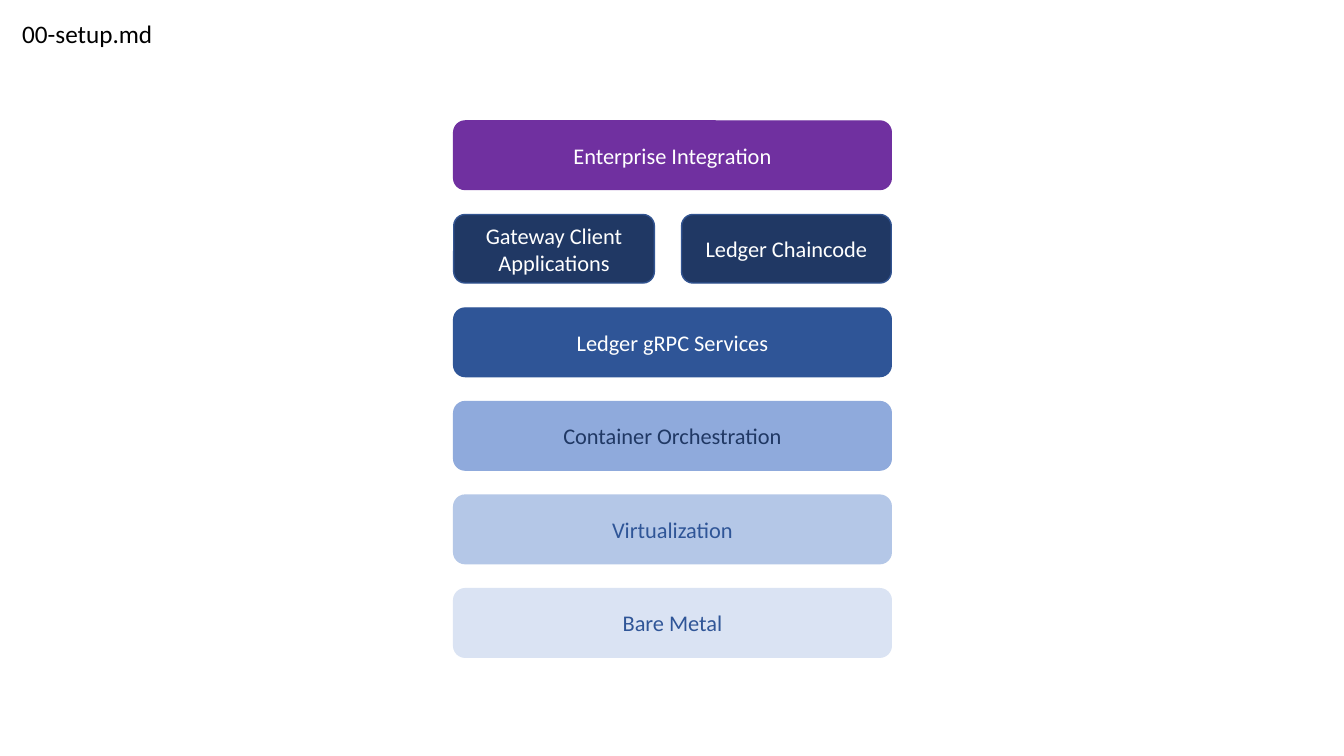
from pptx import Presentation
from pptx.dml.color import RGBColor
from pptx.enum import shapes, text
from pptx.util import Inches, Pt

COLORS = {
    "black": "000000", "white": "FFFFFF", "purple": "7030A0",
    "navy": "203864", "navy_edge": "325491", "blue": "2F5597",
    "mid": "8FAADC", "light": "B4C7E7", "pale": "DAE3F3",
}

# Layers from top to bottom: (labels, fill, line, text colour)
TITLE = "00-setup.md"
LAYERS = [
    (["Enterprise Integration"], "purple", "purple", "white"),
    (["Gateway Client Applications", "Ledger Chaincode"], "navy", "navy_edge", "white"),
    (["Ledger gRPC Services"], "blue", "blue", "white"),
    (["Container Orchestration"], "mid", "mid", "navy"),
    (["Virtualization"], "light", "light", "blue"),
    (["Bare Metal"], "pale", "pale", "blue"),
]

# Stack geometry in inches; columns are (offset, width) by number of boxes
LEFT, TOP, HEIGHT, PITCH = 4.5, 1.2, 0.68, 0.928
COLUMNS = {1: [(0, 4.34)], 2: [(0, 1.99), (2.26, 2.08)]}


def rgb(name):
    return RGBColor.from_string(COLORS[name])


def write(sp, words, size, color, align, **frame):
    tf = sp.text_frame
    for key, value in frame.items():
        setattr(tf, key, value)
    p = tf.paragraphs[0]
    p.alignment = align
    r = p.add_run()
    r.text = words
    for key, value in {"name": "Calibri", "size": Pt(size)}.items():
        setattr(r.font, key, value)
    r.font.color.rgb = rgb(color)


prs = Presentation()
prs.slide_width, prs.slide_height = Inches(13.33), Inches(7.5)
slide = prs.slides.add_slide(prs.slide_layouts[5])

# Title
title = slide.shapes.title
title.left, title.top, title.width, title.height = map(Inches, (0.12, 0.13, 1.51, 0.4))
write(title, TITLE, 18, "black", text.PP_ALIGN.LEFT, word_wrap=False,
      auto_size=text.MSO_AUTO_SIZE.SHAPE_TO_FIT_TEXT,
      vertical_anchor=text.MSO_ANCHOR.TOP)

# Layer boxes
for row, (labels, fill, line, color) in enumerate(LAYERS):
    for label, (offset, width) in zip(labels, COLUMNS[len(labels)]):
        sp = slide.shapes.add_shape(
            shapes.MSO_SHAPE.ROUNDED_RECTANGLE, Inches(LEFT + offset),
            Inches(TOP + row * PITCH), Inches(width), Inches(HEIGHT))
        sp.shadow.inherit = False
        sp.fill.solid()
        sp.fill.fore_color.rgb = rgb(fill)
        sp.line.color.rgb = rgb(line)
        sp.line.width = Pt(1)
        write(sp, label, 16, color, text.PP_ALIGN.CENTER, word_wrap=True,
              vertical_anchor=text.MSO_ANCHOR.MIDDLE)

prs.save("out.pptx")
